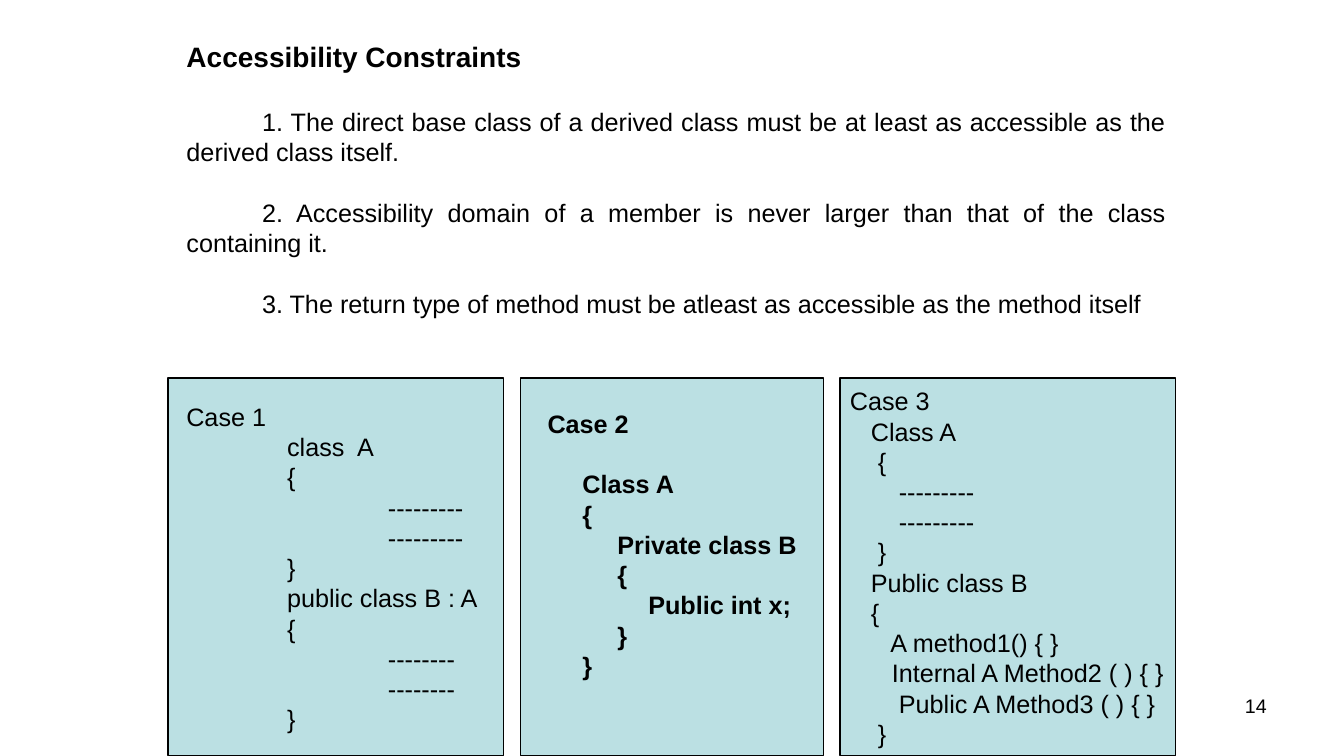
"""Build the slide on accessibility constraints with three class listings."""
from dataclasses import dataclass

from lxml import etree
from pptx import Presentation
from pptx.dml.color import RGBColor
from pptx.enum.shapes import MSO_SHAPE
from pptx.enum.text import MSO_ANCHOR, MSO_AUTO_SIZE, PP_ALIGN
from pptx.oxml.ns import qn
from pptx.util import Pt

RECTANGLE = MSO_SHAPE.RECTANGLE
TOP, MIDDLE = MSO_ANCHOR.TOP, MSO_ANCHOR.MIDDLE
LEFT, RIGHT, JUSTIFY = PP_ALIGN.LEFT, PP_ALIGN.RIGHT, PP_ALIGN.JUSTIFY
NO_AUTOFIT = MSO_AUTO_SIZE.NONE


@dataclass(frozen=True)
class Theme:
    font: str = "Arial"
    ink: RGBColor = RGBColor(0x00, 0x00, 0x00)
    panel: RGBColor = RGBColor(0xBB, 0xE0, 0xE3)
    title_size: float = 20
    text_size: float = 18
    number_size: float = 14
    leading: float = 1.2
    tab: float = 72


class SlideBuilder:
    def __init__(self, slide, theme):
        self.slide = slide
        self.theme = theme

    def place(self, element, box):
        element.left, element.top, element.width, element.height = map(Pt, box)
        return element.text_frame

    def set_frame(self, frame, anchor=TOP, wrap=True):
        frame.auto_size = NO_AUTOFIT
        frame.word_wrap = wrap
        frame.vertical_anchor = anchor
        frame.margin_left = frame.margin_right = Pt(7.2)
        frame.margin_top = frame.margin_bottom = Pt(3.6)

    def add_line(self, paragraph, text, size, bold=False, align=LEFT, before=0):
        paragraph.alignment = align
        paragraph.line_spacing = Pt(size * self.theme.leading)
        paragraph.space_before = Pt(before)
        run = paragraph.add_run()
        run.text = text
        run.font.name = self.theme.font
        run.font.size = Pt(size)
        run.font.bold = bold
        run.font.color.rgb = self.theme.ink

    def title(self, text, box):
        heading = self.slide.shapes.title
        frame = self.place(heading, box)
        self.set_frame(frame)
        self.add_line(frame.paragraphs[0], text, self.theme.title_size, bold=True)

    def rules(self, items, box, first_indent):
        frame = self.place(self.slide.placeholders[1], box)
        self.set_frame(frame)
        size = self.theme.text_size
        for index, item in enumerate(items):
            paragraph = frame.add_paragraph() if index else frame.paragraphs[0]
            properties = paragraph._p.get_or_add_pPr()
            properties.set("marL", "0")
            properties.set("indent", str(Pt(first_indent)))
            etree.SubElement(properties, qn("a:buNone"))
            gap = size * self.theme.leading if index else 0
            self.add_line(paragraph, item, size, align=JUSTIFY, before=gap)

    def panel(self, box):
        card = self.slide.shapes.add_shape(RECTANGLE, *map(Pt, box))
        card.shadow.inherit = False
        card.fill.solid()
        card.fill.fore_color.rgb = self.theme.panel
        card.line.color.rgb = self.theme.ink
        card.line.width = Pt(0.75)
        return card.text_frame

    def text_box(self, box):
        return self.slide.shapes.add_textbox(*map(Pt, box)).text_frame

    def listing(self, frame, heading, code, bold=False, heading_gap=0):
        self.set_frame(frame, anchor=MIDDLE, wrap=False)
        size = self.theme.text_size
        self.add_line(frame.paragraphs[0], heading, size, bold)
        for index, line in enumerate(code):
            paragraph = frame.add_paragraph()
            stops = etree.SubElement(paragraph._p.get_or_add_pPr(), qn("a:tabLst"))
            for step in (1, 2):
                position = str(Pt(self.theme.tab * step))
                etree.SubElement(stops, qn("a:tab"), pos=position, algn="l")
            gap = 0 if index else heading_gap
            self.add_line(paragraph, line, size, bold, before=gap)

    def page_number(self, text, box):
        frame = self.text_box(box)
        self.set_frame(frame)
        self.add_line(frame.paragraphs[0], text, self.theme.number_size, align=RIGHT)


RULES = (
    "1. The direct base class of a derived class must be at least as accessible as the derived class itself.",
    "2. Accessibility domain of a member is never larger than that of the class containing it.",
    "3. The return type of method must be atleast as accessible as the method itself",
)
DERIVED_CLASS = (
    "\tclass  A", "\t{", "\t\t---------", "\t\t---------", "\t}",
    "\tpublic class B : A", "\t{", "\t\t--------", "\t\t--------", "\t}",
)
NESTED_CLASS = (
    "     Class A", "     {", "          Private class B", "          {",
    "\tPublic int x;", "          }", "     }",
)
RETURN_TYPES = (
    "   Class A", "    {", "       ---------", "       ---------", "    }",
    "   Public class B", "   {", "      A method1() { }",
    "      Internal A Method2 ( ) { }", "       Public A Method3 ( ) { }", "    }",
)


def main():
    deck = Presentation()
    deck.slide_width, deck.slide_height = Pt(960), Pt(540)
    theme = Theme()
    builder = SlideBuilder(deck.slides.add_slide(deck.slide_layouts[1]), theme)

    builder.title("Accessibility Constraints", (126, 24.5, 714, 31.2))
    builder.rules(RULES, (126, 72.5, 714, 158.4), first_indent=54)

    card_top, card_height = 270, 270
    builder.panel((120, card_top, 240, card_height))
    builder.listing(builder.text_box((126, 283, 223, 244.8)), "Case 1", DERIVED_CLASS)
    builder.panel((372, card_top, 216, card_height))
    builder.listing(builder.text_box((384, 288, 192, 201.6)), "Case 2", NESTED_CLASS,
                    bold=True, heading_gap=theme.text_size * theme.leading)
    return_card = builder.panel((600, card_top, 240, card_height))
    builder.listing(return_card, "Case 3", RETURN_TYPES)

    builder.page_number("14", (688, 492, 224, 37.5))
    deck.save("out.pptx")


if __name__ == "__main__":
    main()
